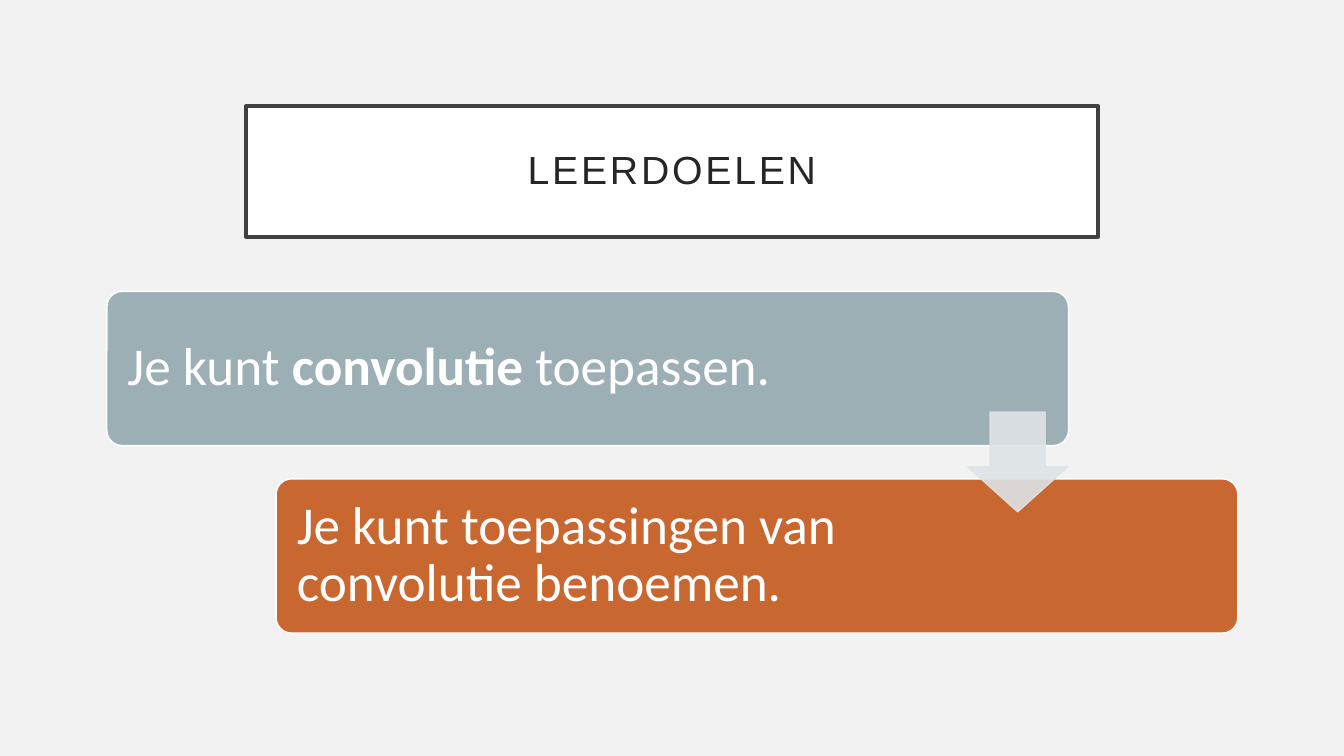
from lxml import etree
from pptx import Presentation
from pptx import util as u
from pptx.dml.color import RGBColor
from pptx.enum import shapes, text
from pptx.oxml.ns import qn

BACKGROUND = RGBColor(0xF2, 0xF2, 0xF2)
WHITE = RGBColor(0xFF, 0xFF, 0xFF)
FRAME = RGBColor(0x40, 0x40, 0x40)
TITLE_TEXT = RGBColor(0x26, 0x26, 0x26)
GREY_BLUE = RGBColor(0x9B, 0xAF, 0xB5)
ORANGE = RGBColor(0xC9, 0x67, 0x31)
PALE_GREY = RGBColor(0xDE, 0xE3, 0xE5)

# Each goal: card colour, text width in percent of the slide, (words, bold) runs
GOALS = [
    (GREY_BLUE, 59.7, [("Je kunt ", False), ("convolutie", True), (" toepassen.", False)]),
    (ORANGE, 50.78, [("Je kunt toepassingen van convolutie benoemen.", False)]),
]
CARD_LEFT, CARD_TOP = 7.95, 38.55
CARD_WIDTH, CARD_HEIGHT = 71.55, 20.4
STEP_RIGHT, STEP_DOWN = 12.6, 24.8
PADDING_X, PADDING_Y = 0.33, 0.6


class GoalSlide:
    """Draws on one slide; every box is (left, top, width, height) in percent."""

    def __init__(self, presentation):
        self.width = presentation.slide_width
        self.height = presentation.slide_height
        self.slide = presentation.slides.add_slide(presentation.slide_layouts[6])
        fill = self.slide.background.fill
        fill.solid()
        fill.fore_color.rgb = BACKGROUND

    def place(self, box):
        sizes = (self.width, self.height) * 2
        return [round(share * size / 100) for share, size in zip(box, sizes)]

    def block(self, kind, box, fill, line, line_width=1, adjustments=(), opacity=None):
        shape = self.slide.shapes.add_shape(kind, *self.place(box))
        shape.shadow.inherit = False
        shape.fill.solid()
        shape.fill.fore_color.rgb = fill
        shape.line.color.rgb = line
        shape.line.width = u.Pt(line_width)
        for index, value in enumerate(adjustments):
            shape.adjustments[index] = value
        if opacity is not None:
            for color in shape.element.spPr.iter(qn("a:srgbClr")):
                etree.SubElement(color, qn("a:alpha"), val=str(opacity * 1000))
        return shape

    def fill_text(self, shape, runs, inset, paragraph_format, font_format, color, tracking=0):
        frame = shape.text_frame
        frame_format = {"word_wrap": True, "vertical_anchor": text.MSO_ANCHOR.MIDDLE}
        for side in ("left", "top", "right", "bottom"):
            frame_format[f"margin_{side}"] = u.Inches(inset)
        for name, value in frame_format.items():
            setattr(frame, name, value)
        paragraph = frame.paragraphs[0]
        for name, value in {"line_spacing": 0.9, **paragraph_format}.items():
            setattr(paragraph, name, value)
        for words, bold in runs:
            run = paragraph.add_run()
            run.text = words
            for name, value in {**font_format, "bold": bold}.items():
                setattr(run.font, name, value)
            run.font.color.rgb = color
            if tracking:
                run.font._element.set("spc", str(tracking * 100))

    def title(self, words, box):
        shape = self.block(shapes.MSO_SHAPE.RECTANGLE, box, WHITE, FRAME, 2.5)
        self.fill_text(shape, [(words, False)], 0.2, {"alignment": text.PP_ALIGN.CENTER},
                       {"name": "Arial", "size": u.Pt(28)}, TITLE_TEXT, tracking=2)

    def goal(self, left, top, color, text_width, runs):
        self.block(shapes.MSO_SHAPE.ROUNDED_RECTANGLE, (left, top, CARD_WIDTH, CARD_HEIGHT),
                   color, WHITE, adjustments=[0.1])
        text_box = (left + PADDING_X, top + PADDING_Y, text_width, CARD_HEIGHT - 2 * PADDING_Y)
        shape = self.slide.shapes.add_textbox(*self.place(text_box))
        self.fill_text(shape, runs, 0.16, {"alignment": text.PP_ALIGN.LEFT},
                       {"name": "Calibri", "size": u.Pt(38)}, WHITE)

    def arrow(self, box):
        self.block(shapes.MSO_SHAPE.DOWN_ARROW, box, PALE_GREY, PALE_GREY,
                   adjustments=[0.55, 0.45], opacity=90)


def main():
    presentation = Presentation()
    presentation.slide_width = u.Inches(13.33)
    presentation.slide_height = u.Inches(7.5)
    slide = GoalSlide(presentation)
    slide.title("LEERDOELEN", (18.3, 14, 63.4, 17.33))
    for step, goal in enumerate(GOALS):
        slide.goal(CARD_LEFT + step * STEP_RIGHT, CARD_TOP + step * STEP_DOWN, *goal)
    slide.arrow((72, 54.5, 7.45, 13.2))
    presentation.save("out.pptx")


if __name__ == "__main__":
    main()
